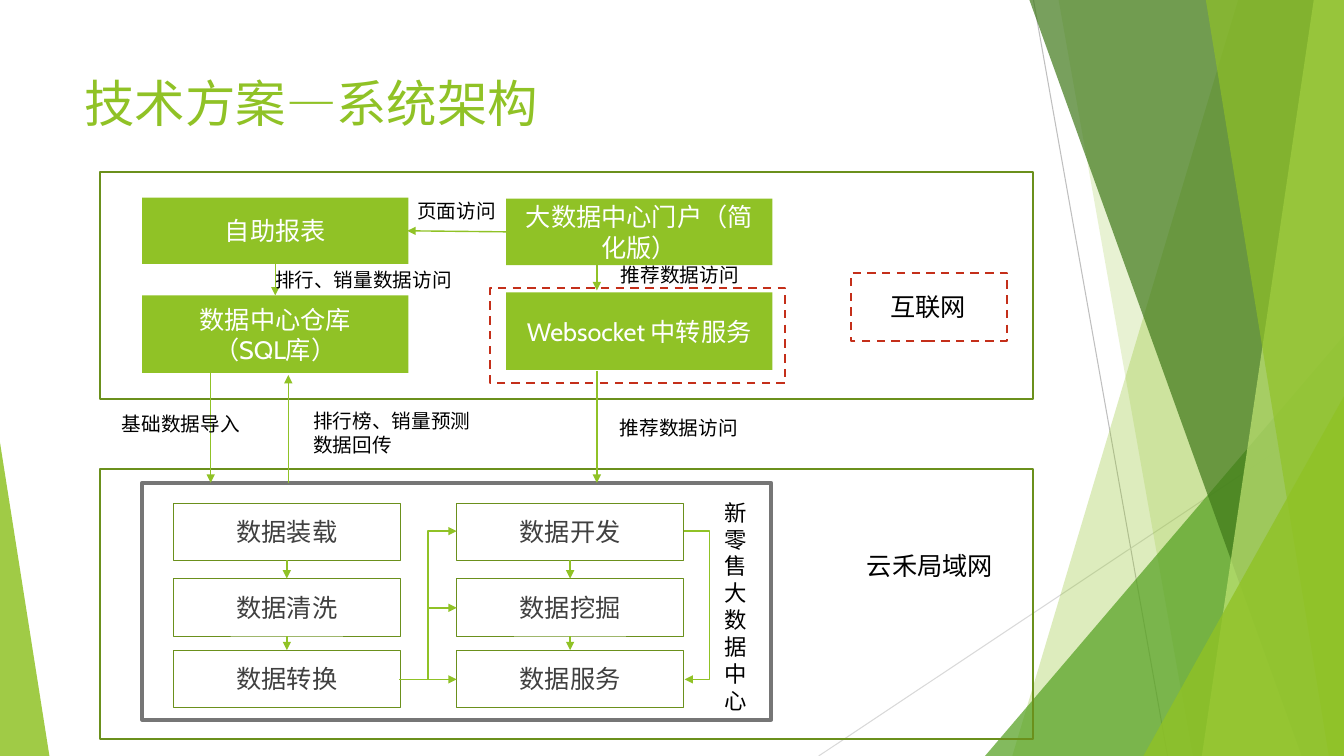
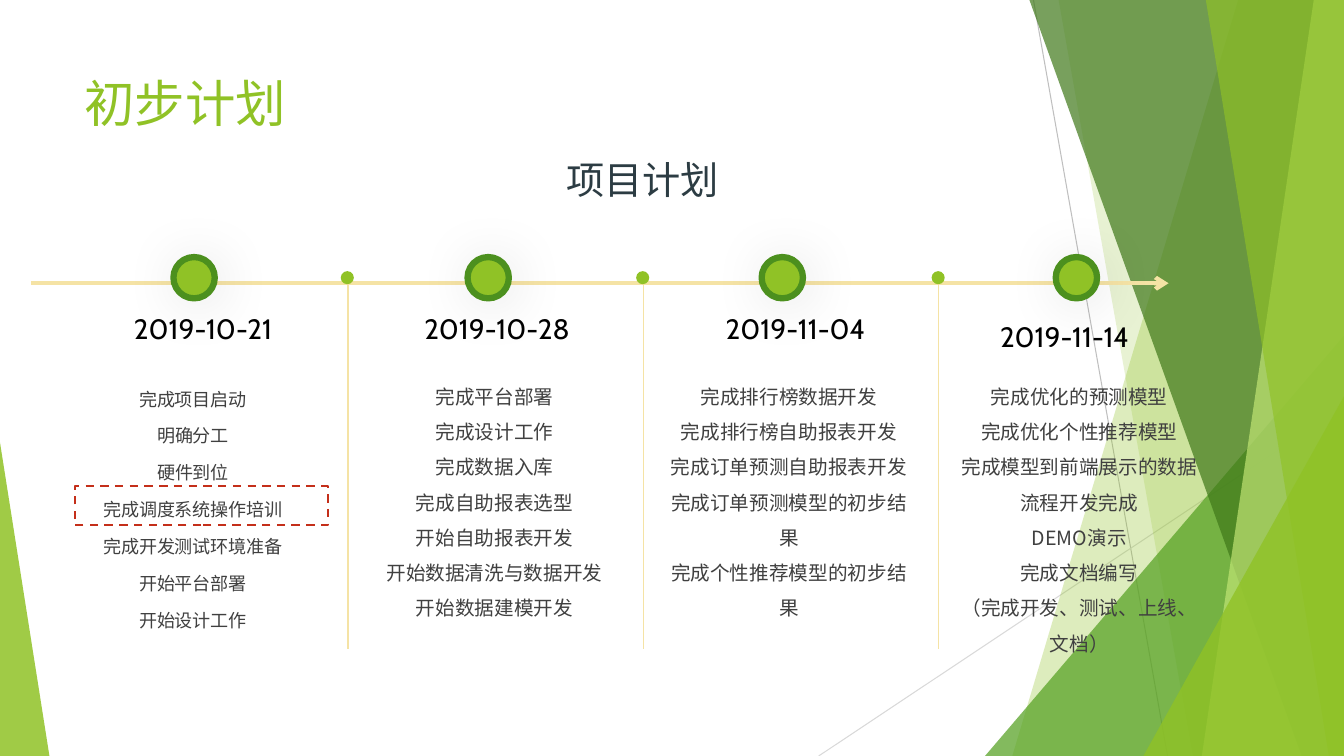
from lxml import etree
from pptx import Presentation
from pptx.dml.color import RGBColor
from pptx.enum.dml import MSO_LINE
from pptx.enum.shapes import MSO_CONNECTOR, MSO_SHAPE
from pptx.enum.text import MSO_ANCHOR, PP_ALIGN
from pptx.oxml.ns import qn
from pptx.util import Inches, Pt

RECT = MSO_SHAPE.RECTANGLE
OVAL = MSO_SHAPE.OVAL
PEAK = MSO_SHAPE.ISOSCELES_TRIANGLE
STRAIGHT = MSO_CONNECTOR.STRAIGHT
ELBOW = MSO_CONNECTOR.ELBOW
DASH = MSO_LINE.DASH
LEFT, CENTER = PP_ALIGN.LEFT, PP_ALIGN.CENTER
TOP, MIDDLE = MSO_ANCHOR.TOP, MSO_ANCHOR.MIDDLE

WIDE, HIGH = 13.33, 7.5
LATIN, HAN = "Cabin", "Noto Sans CJK SC"
COLORS = {
    "lime": "90C226", "leaf": "54A021", "moss": "3F7819", "pale": "C0E474",
    "edge": "6B901C", "ring": "4C901E", "sand": "F5E3A5", "red": "C42F1A",
    "gray": "767676", "text": "404040", "slate": "2C3C43", "black": "000000",
    "white": "FFFFFF", "rule": "BFBFBF", "faint": "D9D9D9",
}


def rgb(name):
    """Return the named colour."""
    return RGBColor.from_string(COLORS[name])


def write(shape, text, size, color, align=LEFT, anchor=TOP, font=LATIN,
          space=None, wrap=True):
    """Set the text of a shape and format its runs."""
    frame = shape.text_frame
    frame.text = text
    frame.word_wrap = wrap
    frame.vertical_anchor = anchor
    for para in frame.paragraphs:
        para.alignment = align
        para.line_spacing = space
        for run in para.runs:
            run.font.name = font
            run.font.size = Pt(size)
            run.font.color.rgb = rgb(color)
            east = etree.SubElement(run._r.get_or_add_rPr(), qn("a:ea"))
            east.set("typeface", HAN)


def label(slide, at, text, size=14, color="black", **style):
    """Add a text box."""
    box = slide.shapes.add_textbox(*map(Inches, at))
    write(box, text, size, color, **style)


def paint(shape, fill=None, alpha=100, line=None, width=1, dash=None):
    """Set fill, opacity and outline, and drop the shadow."""
    shape.shadow.inherit = False
    if fill:
        shape.fill.solid()
        shape.fill.fore_color.rgb = rgb(fill)
        if alpha < 100:
            tone = shape._element.spPr.find(qn("a:solidFill"))[0]
            etree.SubElement(tone, qn("a:alpha")).set("val", str(alpha * 1000))
    else:
        shape.fill.background()
    if line:
        shape.line.color.rgb = rgb(line)
        shape.line.width = Pt(width)
        shape.line.dash_style = dash
    else:
        shape.line.fill.background()


def block(slide, at, kind=RECT, **style):
    """Add a painted preset shape."""
    shape = slide.shapes.add_shape(kind, *map(Inches, at))
    paint(shape, **style)
    return shape


def peak(slide, at, tip, fill, alpha):
    """Add a right triangle whose tip is at the given share of its width."""
    block(slide, at, PEAK, fill=fill, alpha=alpha).adjustments[0] = tip


def band(slide, top, base, fill, alpha):
    """Add a slanted band from the top and bottom x to the right edge."""
    pen = slide.shapes.build_freeform(Inches(top), 0, 1.0)
    ends = [(WIDE, 0), (WIDE, HIGH), (base, HIGH)]
    pen.add_line_segments([(Inches(x), Inches(y)) for x, y in ends])
    paint(pen.convert_to_shape(), fill, alpha)


def link(slide, ends, color="lime", width=1, head=None, kind=STRAIGHT,
         bend=None):
    """Add a line, with an arrowhead and elbow position if given."""
    line = slide.shapes.add_connector(kind, *map(Inches, ends))
    line.line.color.rgb = rgb(color)
    line.line.width = Pt(width)
    props = line._element.spPr
    if head:
        tail = etree.SubElement(line.line._get_or_add_ln(), qn("a:tailEnd"))
        tail.set("type", head)
    if bend:
        guide = etree.SubElement(props.find(qn("a:prstGeom")).find(qn("a:avLst")),
                                 qn("a:gd"))
        guide.set("name", "adj1")
        guide.set("fmla", f"val {bend}")
    etree.SubElement(props, qn("a:effectLst"))


def glow(shape):
    """Give a shape a soft shadow below right."""
    soft = etree.SubElement(shape._element.spPr.find(qn("a:effectLst")),
                            qn("a:outerShdw"))
    soft.set("blurRad", str(Pt(40)))
    soft.set("dist", str(Pt(4)))
    soft.set("dir", str(45 * 60000))
    tone = etree.SubElement(soft, qn("a:srgbClr"))
    tone.set("val", COLORS["black"])
    etree.SubElement(tone, qn("a:alpha")).set("val", "11000")


def start(deck, title):
    """Add a slide with the shared backdrop and title."""
    slide = deck.slides.add_slide(deck.slide_layouts[6])
    link(slide, (10.25, 0, 11.58, HIGH), "rule", 0.75)
    link(slide, (WIDE, 4.03, 8.12, HIGH), "faint", 0.75)
    band(slide, 12.28, 10.04, "lime", 30)
    band(slide, 10.5, 11.83, "lime", 20)
    peak(slide, (9.77, 3.33, 3.56, 4.17), 1, "leaf", 72)
    band(slide, 10.21, 12.91, "moss", 70)
    band(slide, 13.03, 11.92, "pale", 70)
    band(slide, 11.96, 13.18, "lime", 65)
    peak(slide, (11.34, 3.93, 1.99, 3.57), 1, "lime", 80)
    peak(slide, (0, 4.39, 0.49, 3.11), 0, "lime", 85)
    label(slide, (0.74, 0.67, 9.4, 1.44), title, 36, "lime")
    return slide


def design(deck):
    """Build the system design slide."""
    slide = start(deck, "技术方案—系统架构")
    for top, tall in ((1.71, 2.25), (4.65, 2.68)):
        block(slide, (0.99, top, 9.26, tall), line="edge", width=1.5)
    block(slide, (1.41, 4.79, 6.24, 2.35), line="gray", width=2.75)

    apps = [
        (1.41, 1.96, 0.66, "自助报表"),
        (5.02, 1.97, 0.66, "大数据中心门户（简化版）"),
        (1.41, 2.93, 0.77, "数据中心仓库\n（SQL库）"),
        (5.02, 2.9, 0.77, "Websocket 中转服务"),
    ]
    for left, top, tall, text in apps:
        box = block(slide, (left, top, 2.64, tall), fill="lime")
        write(box, text, 18, "white", CENTER, MIDDLE)

    steps = [(1.72, ("数据装载", "数据清洗", "数据转换")),
             (4.53, ("数据开发", "数据挖掘", "数据服务"))]
    tops, wide, tall = (4.99, 5.74, 6.45), 2.25, 0.57
    for left, names in steps:
        for top, text in zip(tops, names):
            box = block(slide, (left, top, wide, tall), line="edge", width=0.5)
            write(box, text, 18, "text", CENTER, MIDDLE)
        mid = left + wide / 2
        for above, below in zip(tops, tops[1:]):
            link(slide, (mid, above + tall, mid, below), head="triangle")

    flows = [
        (5.02, 2.3, 4.04, 2.29), (2.73, 2.62, 2.73, 2.93),
        (5.92, 2.63, 5.92, 2.88), (2.09, 3.68, 2.09, 4.79),
        (2.86, 4.79, 2.86, 3.72), (5.92, 3.68, 5.92, 4.79),
        (4.24, 6.74, 4.53, 6.74), (4.24, 6.03, 4.53, 6.03),
    ]
    for ends in flows:
        link(slide, ends, head="triangle")
    link(slide, (3.96, 6.74, 4.53, 5.27), head="triangle", kind=ELBOW)
    link(slide, (6.78, 5.27, 6.79, 6.74), head="triangle", kind=ELBOW,
         bend=2600000)

    notes = [
        (4.04, 1.92, 0.99, 0.34, "页面访问"),
        (2.63, 2.61, 2.03, 0.34, "排行、销量数据访问"),
        (6.06, 2.56, 1.38, 0.34, "推荐数据访问"),
        (1.11, 4.04, 1.38, 0.34, "基础数据导入"),
        (3.01, 4.01, 1.77, 0.57, "排行榜、销量预测\n数据回传"),
        (6.05, 4.08, 1.38, 0.34, "推荐数据访问"),
    ]
    for *at, text in notes:
        label(slide, at, text, wrap=False)
    label(slide, (8.73, 2.84, 0.96, 0.4), "互联网", 18, wrap=False)
    label(slide, (8.5, 5.41, 1.49, 0.4), "云禾局域网", 18, wrap=False)
    label(slide, (7.09, 4.9, 0.57, 2.26), "新零售大数据中心", 16, font=HAN)
    for at in ((4.86, 2.86, 2.93, 0.94), (8.44, 2.71, 1.55, 0.67)):
        block(slide, at, line="red", width=1.5, dash=DASH)


def plan(deck):
    """Build the project plan slide."""
    slide = start(deck, "初步计划")
    label(slide, (4.62, 1.5, 3.51, 0.57), "项目计划", 27.3, "slate",
          align=CENTER)
    link(slide, (0.31, 2.81, 11.59, 2.81), "sand", 3, "arrow")
    stages = [
        ("2019-10-21", 1.23, 3.04, 0.58, 12.9, 1.7,
         "完成项目启动\n明确分工\n硬件到位\n完成调度系统操作培训\n"
         "完成开发测试环境准备\n开始平台部署\n开始设计工作"),
        ("2019-10-28", 4.11, 3.04, 3.57, 14, 1.5,
         "完成平台部署\n完成设计工作\n完成数据入库\n完成自助报表选型\n"
         "开始自助报表开发\n开始数据清洗与数据开发\n开始数据建模开发"),
        ("2019-11-04", 7.1, 3.04, 6.49, 14, 1.5,
         "完成排行榜数据开发\n完成排行榜自助报表开发\n"
         "完成订单预测自助报表开发\n完成订单预测模型的初步结果\n"
         "完成个性推荐模型的初步结果"),
        ("2019-11-14", 9.82, 3.12, 9.37, 14, 1.5,
         "完成优化的预测模型\n完成优化个性推荐模型\n"
         "完成模型到前端展示的数据流程开发完成\nDEMO演示\n完成文档编写\n"
         "（完成开发、测试、上线、文档）"),
    ]
    for num, (date, left, top, side, size, space, tasks) in enumerate(stages):
        ring = block(slide, (1.72 + 2.917 * num, 2.55, 0.41, 0.41), OVAL,
                     fill="lime", line="ring", width=4.5)
        glow(ring)
        if num:
            split = 3.45 + 2.93 * (num - 1)
            link(slide, (split, 2.82, split, 6.44), "sand")
            block(slide, (split - 0.07, 2.69, 0.13, 0.13), OVAL, fill="lime")
        label(slide, (left, top, 1.83, 0.44), date, 20, anchor=MIDDLE)
        label(slide, (side, 3.65, 2.67, 3.2), tasks, size, "text",
              align=CENTER, font=HAN, space=space)
    block(slide, (0.74, 4.82, 2.51, 0.39), line="red", width=1.5, dash=DASH)


def main():
    """Build and save the deck."""
    deck = Presentation()
    deck.slide_width, deck.slide_height = Inches(WIDE), Inches(HIGH)
    design(deck)
    plan(deck)
    deck.save("out.pptx")


main()
